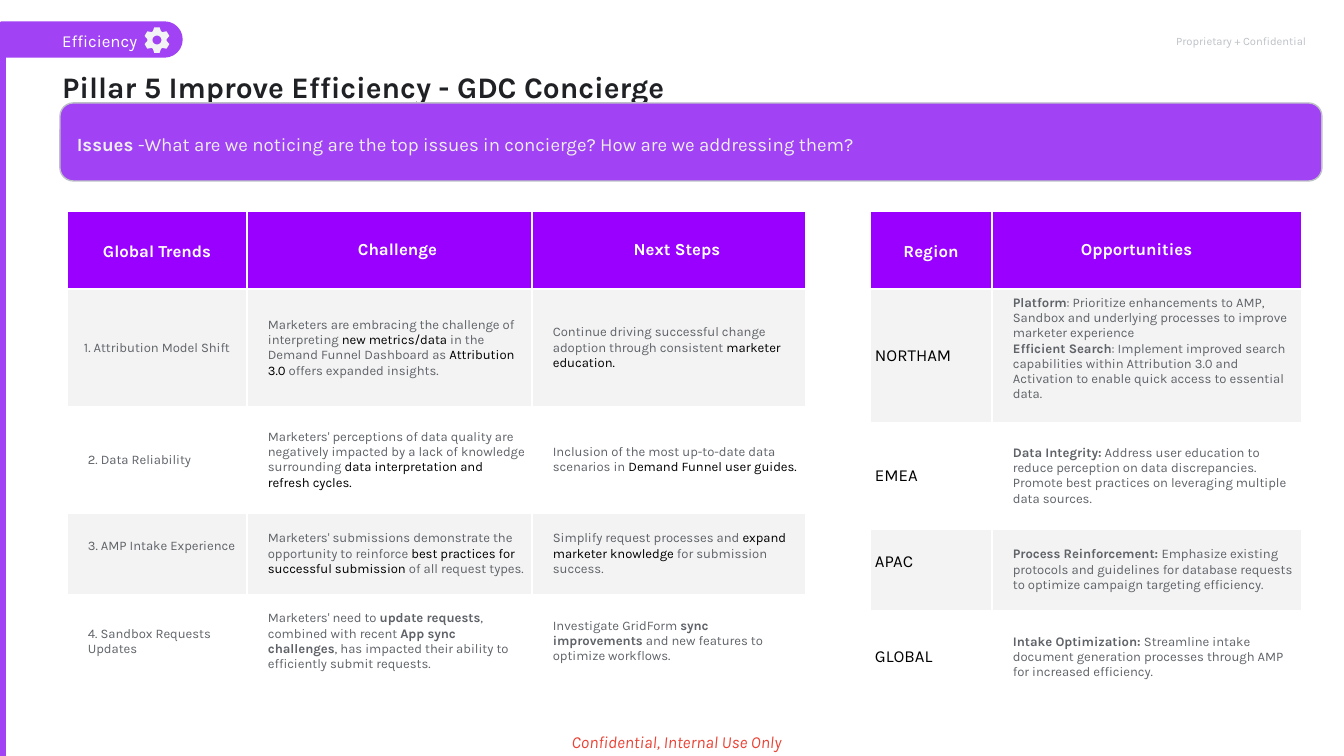
import math
import pptx
import pptx.util
import pptx.dml.color
import pptx.enum.shapes
import pptx.enum.text
from dataclasses import dataclass
from lxml import etree
from pptx.oxml.ns import qn

# ---- Content: "|" switches emphasis on and off ----
TITLE = "Pillar 5 Improve Efficiency - GDC Concierge"
TAB = "Efficiency"
NOTE = "Proprietary + Confidential"
FOOT = "Confidential, Internal Use Only"
ISSUES = ("|Issues |-What are we noticing are the top issues in concierge? "
          "How are we addressing them?")

TRENDS = [
    ["Global Trends", "Challenge", "Next Steps"],
    ["1. Attribution Model Shift",
     "Marketers are embracing the challenge of interpreting |new metrics/data| in the "
     "Demand Funnel Dashboard as |Attribution 3.0| offers expanded insights.",
     "Continue driving successful change adoption through consistent |marketer education."],
    ["2. Data Reliability",
     "Marketers' perceptions of data quality are negatively impacted by a lack of knowledge "
     "surrounding |data interpretation and refresh cycles.",
     "Inclusion of the most up-to-date data scenarios in |Demand Funnel user guides."],
    ["3. AMP Intake Experience",
     "Marketers' submissions demonstrate the opportunity to reinforce "
     "|best practices for successful submission| of all request types.",
     "Simplify request processes and |expand marketer knowledge |for submission success."],
    ["4. Sandbox Requests Updates",
     "Marketers' need to |update requests|, combined with recent |App sync challenges|, "
     "has impacted their ability to efficiently submit requests.",
     "Investigate GridForm |sync improvements| and new features to optimize workflows."],
]
REGIONS = [
    ["Region", "Opportunities"],
    ["NORTHAM",
     "|Platform|: Prioritize enhancements to AMP, Sandbox and underlying processes to improve "
     "marketer experience\n"
     "|Efficient Search|: Implement improved search capabilities within Attribution 3.0 and "
     "Activation to enable quick access to essential data."],
    ["EMEA",
     "|Data Integrity:| Address user education to reduce perception on data discrepancies. "
     "Promote best practices on leveraging multiple data sources."],
    ["APAC",
     "|Process Reinforcement: |Emphasize existing protocols and guidelines for database "
     "requests to optimize campaign targeting efficiency."],
    ["GLOBAL",
     "|Intake Optimization: |Streamline intake document generation processes through AMP "
     "for increased efficiency."],
]


# ---- Theme ----
@dataclass(frozen=True)
class Theme:
    font: str = "Karla"
    brand: str = "A142F4"
    head: str = "9900FF"
    band: str = "F3F3F3"
    white: str = "FFFFFF"
    black: str = "000000"
    ink: str = "202124"
    body: str = "5F6368"
    pale: str = "BDC1C6"
    gear: str = "F1F3F4"
    soft: str = "EEEEEE"
    red: str = "EA4335"
    big: int = 16
    lead: int = 10
    mid: int = 9
    small: int = 7
    tiny: int = 6


T = Theme()
PX = 914400 / 134.4
ALIGN = pptx.enum.text.PP_ALIGN
ANCHOR = pptx.enum.text.MSO_ANCHOR
SHAPE = pptx.enum.shapes.MSO_SHAPE


def emu(px):
    return round(px * PX)


def rgb(code):
    return pptx.dml.color.RGBColor.from_string(code)


# ---- Helpers ----
def write(frame, text, size, color, bold=False, italic=False, align=ALIGN.LEFT,
          space=None, left=0, strong=None):
    """Fill a frame; marked parts are bold, or take the strong colour if given."""
    frame.word_wrap = True
    for n, line in enumerate(text.split("\n")):
        par = frame.add_paragraph() if n else frame.paragraphs[0]
        par.alignment = align
        if space:
            par.line_spacing = space
        if left:
            par._p.get_or_add_pPr().set("marL", str(emu(left)))
        font = par.font
        font.name, font.size = T.font, pptx.util.Pt(size)
        font.bold, font.italic = bold, italic
        font.color.rgb = rgb(color)
        for k, part in enumerate(line.split("|")):
            if not part:
                continue
            run = par.add_run()
            run.text = part
            if k % 2 and strong:
                run.font.color.rgb = rgb(strong)
            elif k % 2:
                run.font.bold = True


def inset(box, left, top, right, bottom):
    box.margin_left, box.margin_top = emu(left), emu(top)
    box.margin_right, box.margin_bottom = emu(right), emu(bottom)


def label(slide, at, text, size, color, pad=(0, 0, 0, 0), anchor=ANCHOR.TOP, **style):
    frame = slide.shapes.add_textbox(*map(emu, at)).text_frame
    inset(frame, *pad)
    frame.vertical_anchor = anchor
    write(frame, text, size, color, **style)


def paint(shape, fill, line=None):
    shape.shadow.inherit = False
    shape.fill.solid()
    shape.fill.fore_color.rgb = rgb(fill)
    if line:
        shape.line.color.rgb = rgb(line)
        shape.line.width = pptx.util.Pt(0.75)
    else:
        shape.line.fill.background()


def block(slide, kind, at, line=T.brand):
    shape = slide.shapes.add_shape(kind, *map(emu, at))
    paint(shape, T.brand, line)
    return shape


def border(cell, row):
    props = cell._tc.get_or_add_tcPr()
    for side in "LRTB":
        thick = row == 0 or (row == 1 and side == "T")
        line = etree.SubElement(props, qn("a:ln" + side),
                                w=str(pptx.util.Pt(1.5 if thick else 0.75)))
        fill = etree.SubElement(line, qn("a:solidFill"))
        etree.SubElement(fill, qn("a:srgbClr"), val=T.white)


def grid(slide, left, top, cols, rows, data, style):
    """Draw a table; style(row, col) gives the text options of a cell."""
    table = slide.shapes.add_table(len(rows), len(cols), emu(left), emu(top),
                                   emu(sum(cols)), emu(sum(rows))).table
    table.first_row = table.horz_banding = False
    for c, width in enumerate(cols):
        table.columns[c].width = emu(width)
    for r, height in enumerate(rows):
        table.rows[r].height = emu(height)
        for c, text in enumerate(data[r]):
            cell = table.cell(r, c)
            border(cell, r)
            cell.fill.solid()
            cell.fill.fore_color.rgb = rgb(T.head if r == 0 else T.band if r % 2 else T.white)
            cell.vertical_anchor = ANCHOR.MIDDLE
            look = {"size": T.small, "color": T.body, "left": 16}
            if r == 0:
                look = {"size": T.mid, "color": T.white, "bold": True, "align": ALIGN.CENTER}
            look.update(style(r, c))
            inset(cell, 5, 5, 5, look.pop("drop", 5))
            write(cell.text_frame, text, **look)


def trend(r, c):
    if r == 0:
        return {"left": 16} if c else {"space": 1.15}
    if c == 0:
        return {1: {"left": 12}, 3: {"drop": 21}}.get(r, {})
    return {"strong": T.black} if r < 4 else {}


def region(r, c):
    if r == 0:
        return {"align": ALIGN.LEFT, "left": 84} if c else {"space": 1.15}
    if c == 0:
        return {"size": T.mid, "color": T.black, "left": 0, "drop": 21 if r == 3 else 5}
    return {"drop": 19} if r == 1 else {}


def gear(slide, x, y):
    def ring(pairs):
        return [(emu(x + rad * math.sin(math.radians(deg))),
                 emu(y - rad * math.cos(math.radians(deg)))) for rad, deg in pairs]

    tooth = [(9.6, -25), (13, -12), (13, 12), (9.6, 25)]
    rim = ring([(rad, deg + 60 * n) for n in range(6) for rad, deg in tooth])
    hole = ring([(4.5, -deg) for deg in range(0, 360, 15)])
    pen = slide.shapes.build_freeform(*rim[0], scale=1.0)
    pen.add_line_segments(rim[1:], close=True)
    pen.move_to(*hole[0])
    pen.add_line_segments(hole[1:], close=True)
    paint(pen.convert_to_shape(), T.gear)


def main():
    deck = pptx.Presentation()
    deck.slide_width, deck.slide_height = emu(1344), emu(756)
    slide = deck.slides.add_slide(deck.slide_layouts[6])

    # Side bar and tab
    tab = block(slide, SHAPE.ROUND_2_SAME_RECTANGLE, (74, -51, 35, 181))
    tab.rotation = 90
    tab.adjustments[0], tab.adjustments[1] = 0.5, 0
    block(slide, SHAPE.RECTANGLE, (-3, 23, 8, 733))
    label(slide, (9, 23, 128, 35), TAB, T.mid, T.white, anchor=ANCHOR.MIDDLE, align=ALIGN.RIGHT)
    gear(slide, 157, 40)

    # Title, notes and issues banner
    label(slide, (1164, 8, 142, 67), NOTE, T.tiny, T.pale, anchor=ANCHOR.MIDDLE,
          align=ALIGN.RIGHT)
    label(slide, (62, 63, 1249, 60), TITLE, T.big, T.ink, pad=(0, 0, 13, 0), bold=True,
          space=1.15)
    label(slide, (422, 719, 509, 37), FOOT, T.mid, T.red, pad=(13, 13, 13, 0), italic=True,
          align=ALIGN.CENTER)
    banner = block(slide, SHAPE.ROUNDED_RECTANGLE, (60, 103, 1262, 78), T.pale)
    banner.adjustments[0] = 0.17
    inset(banner.text_frame, 13, 13, 13, 13)
    banner.text_frame.vertical_anchor = ANCHOR.MIDDLE
    write(banner.text_frame, ISSUES, T.lead, T.soft, space=1.15)

    # Tables
    grid(slide, 67, 211, [180, 285, 274], [78, 118, 106, 82, 93], TRENDS, trend)
    grid(slide, 870, 211, [122, 310], [78, 134, 106, 82, 93], REGIONS, region)
    deck.save("out.pptx")


if __name__ == "__main__":
    main()
